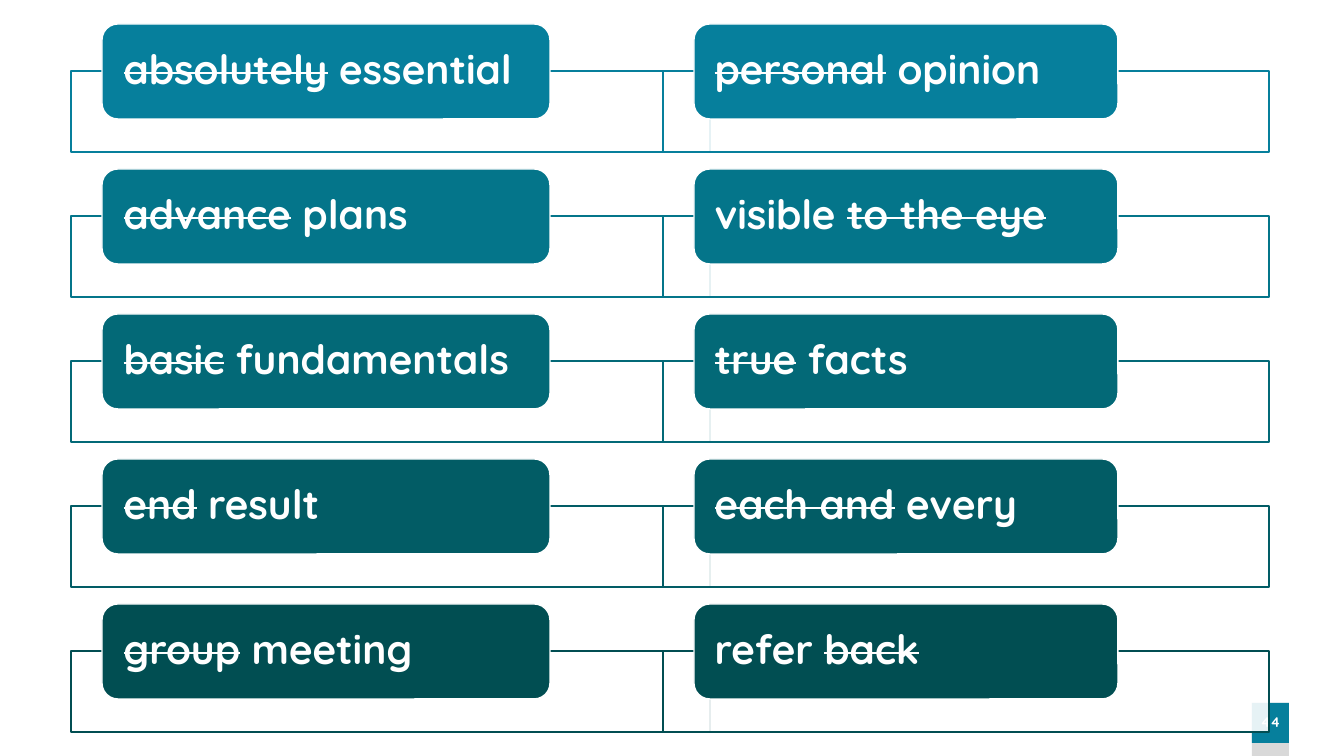
from lxml.etree import SubElement
from pptx import Presentation
from pptx.dml.color import RGBColor
from pptx.enum.shapes import MSO_SHAPE
from pptx.enum.text import MSO_ANCHOR, PP_ALIGN
from pptx.oxml.ns import qn
from pptx.util import Emu, Inches, Pt

WHITE = RGBColor(0xFF, 0xFF, 0xFF)
GREY = RGBColor(0xD9, 0xD9, 0xD9)
TEALS = [
    RGBColor(0x06, 0x7F, 0x9C),
    RGBColor(0x04, 0x75, 0x8A),
    RGBColor(0x03, 0x69, 0x77),
    RGBColor(0x02, 0x5C, 0x65),
    RGBColor(0x01, 0x4E, 0x52),
]
FONT = "Quicksand"

# Each phrase is a list of (words, struck out) runs.
LEFT = [
    [("absolutely", True), (" essential", False)],
    [("advance", True), (" plans", False)],
    [("basic", True), (" fundamentals", False)],
    [("end", True), (" result", False)],
    [("group", True), (" meeting", False)],
]
RIGHT = [
    [("personal", True), (" opinion", False)],
    [("visible ", False), ("to the eye", True)],
    [("true", True), (" facts", False)],
    [("each and", True), (" every", False)],
    [("refer ", False), ("back", True)],
]
# Phrases, frame left and width, pill left and width, text inset (px)
COLUMNS = [
    (LEFT, 71, 639, 102, 448, 17),
    (RIGHT, 663, 606, 694, 424, 16),
]
FRAME_TOP, FRAME_H = 71, 81
PILL_TOP, PILL_H = 24, 95
STEP = 145
PAGE_X, PAGE_Y, PAGE_W = 1252, 703, 37
PAGE_H, STRIP_H = 40, 53

SCALE = Inches(1) / 100.8


def px(n):
    return Emu(round(n * SCALE))


def add_box(slide, kind, x, y, w, h, fill, line=None, alpha=None):
    """Add a shape; alpha is the opacity of its fill in percent."""
    box = slide.shapes.add_shape(kind, px(x), px(y), px(w), px(h))
    box.shadow.inherit = False
    box.fill.solid()
    box.fill.fore_color.rgb = fill
    if alpha is not None:
        tint = box._element.spPr.find(qn("a:solidFill"))[0]
        SubElement(tint, qn("a:alpha")).set("val", str(alpha * 1000))
    if line is None:
        box.line.fill.background()
    else:
        box.line.color.rgb = line
        box.line.width = Pt(1)
    return box


def add_text(box, runs, size, align=PP_ALIGN.LEFT, inset=0, after=0):
    frame = box.text_frame
    frame.word_wrap = True
    frame.vertical_anchor = MSO_ANCHOR.MIDDLE
    frame.margin_left = frame.margin_right = px(inset)
    frame.margin_top = frame.margin_bottom = 0
    para = frame.paragraphs[0]
    para.alignment = align
    para.line_spacing = 0.9
    para.space_after = Pt(after)
    for words, struck in runs:
        run = para.add_run()
        run.text = words
        font = run.font
        font.name, font.size, font.bold = FONT, Pt(size), True
        font.color.rgb = WHITE
        if struck:
            run._r.get_or_add_rPr().set("strike", "sngStrike")


def main():
    deck = Presentation()
    deck.slide_width, deck.slide_height = px(1344), px(756)
    slide = deck.slides.add_slide(deck.slide_layouts[6])

    rect, pill = MSO_SHAPE.RECTANGLE, MSO_SHAPE.ROUNDED_RECTANGLE
    add_box(slide, rect, PAGE_X, PAGE_Y, PAGE_W, STRIP_H, GREY)
    page = add_box(slide, rect, PAGE_X, PAGE_Y, PAGE_W, PAGE_H, TEALS[0])
    add_text(page, [("44", False)], 10, align=PP_ALIGN.CENTER)

    for phrases, left, width, pill_x, pill_w, inset in COLUMNS:
        for row, (runs, teal) in enumerate(zip(phrases, TEALS)):
            drop = row * STEP
            add_box(slide, rect, left, FRAME_TOP + drop, width, FRAME_H,
                    WHITE, line=teal, alpha=90)
            label = add_box(slide, pill, pill_x, PILL_TOP + drop, pill_w,
                            PILL_H, teal, line=WHITE)
            add_text(label, runs, 29, inset=inset, after=10)

    deck.save("out.pptx")


if __name__ == "__main__":
    main()
